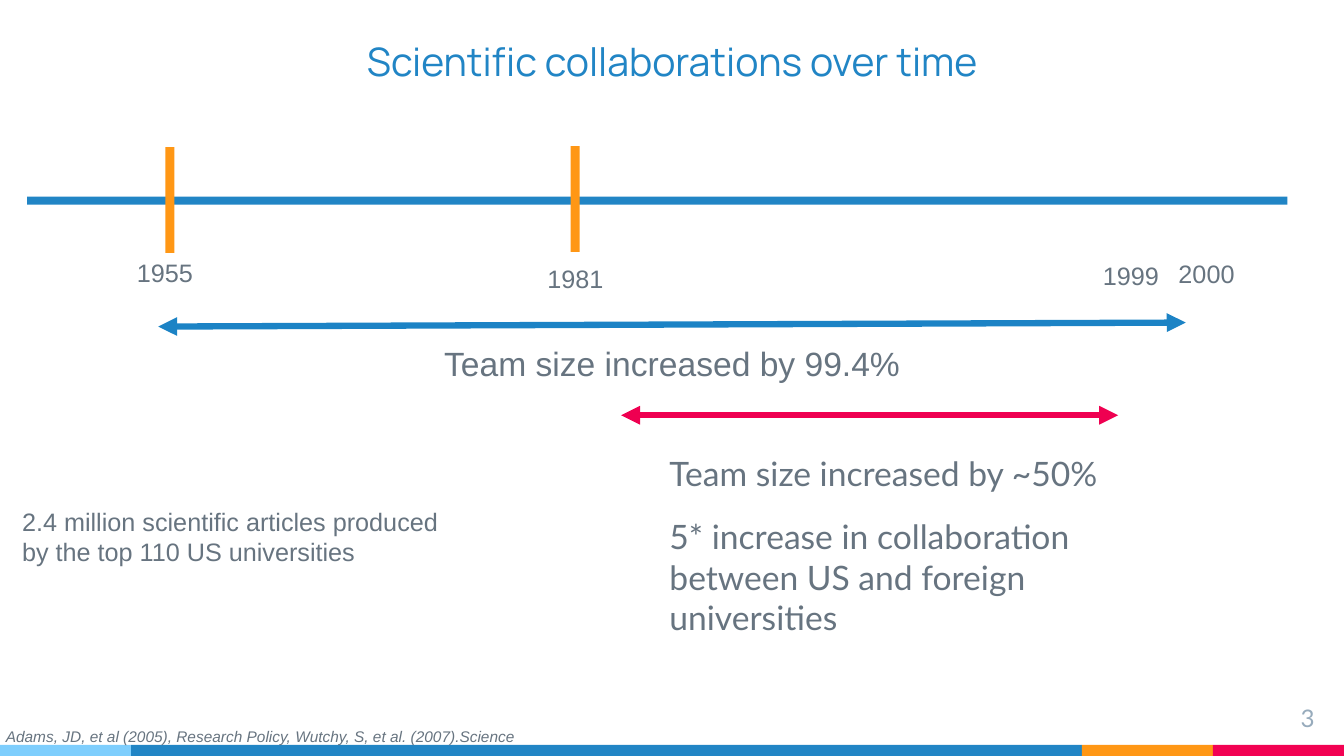
from dataclasses import dataclass

from lxml import etree
from pptx import Presentation
from pptx.dml.color import RGBColor
from pptx.enum.shapes import MSO_CONNECTOR, MSO_SHAPE
from pptx.enum.text import MSO_ANCHOR, PP_ALIGN
from pptx.oxml.ns import qn
from pptx.util import Inches, Pt

RECTANGLE = MSO_SHAPE.RECTANGLE
STRAIGHT = MSO_CONNECTOR.STRAIGHT
LEFT, CENTER, RIGHT = PP_ALIGN.LEFT, PP_ALIGN.CENTER, PP_ALIGN.RIGHT
TOP, BOTTOM = MSO_ANCHOR.TOP, MSO_ANCHOR.BOTTOM


@dataclass(frozen=True)
class Theme:
    blue: str = "2185C5"
    sky: str = "7ECEFD"
    orange: str = "FF9715"
    red: str = "F20253"
    arrow_blue: str = "1C83C5"
    arrow_red: str = "EF0051"
    gray: str = "677480"
    pale: str = "97ABBC"
    title_font: str = "Manrope"
    note_font: str = "Lato"
    body_font: str = "Arial"
    title_size: float = 28
    finding_size: float = 24
    body_size: float = 18
    number_size: float = 17.3
    source_size: float = 11
    arrow_width: float = 4.5


THEME = Theme()


def add_bar(page, left, top, width, height, color):
    bar = page.shapes.add_shape(
        RECTANGLE, Inches(left), Inches(top), Inches(width), Inches(height))
    bar.shadow.inherit = False
    bar.fill.solid()
    bar.fill.fore_color.rgb = RGBColor.from_string(color)
    bar.line.fill.background()


def add_text(page, text, left, top, width, height, size, font=THEME.body_font,
             color=THEME.gray, align=LEFT, anchor=TOP, insets=(0.1, 0.05),
             wrap=True, italic=False):
    box = page.shapes.add_textbox(
        Inches(left), Inches(top), Inches(width), Inches(height))
    frame = box.text_frame
    frame.word_wrap = wrap
    frame.vertical_anchor = anchor
    frame.margin_left = frame.margin_right = Inches(insets[0])
    frame.margin_top = frame.margin_bottom = Inches(insets[1])
    frame.text = text
    para = frame.paragraphs[0]
    para.alignment = align
    for span in para.runs:
        span.font.name = font
        span.font.size = Pt(size)
        span.font.italic = italic
        span.font.color.rgb = RGBColor.from_string(color)


def add_span_arrow(page, start, end, color):
    arrow = page.shapes.add_connector(
        STRAIGHT, *(Inches(value) for value in start + end))
    arrow.line.color.rgb = RGBColor.from_string(color)
    arrow.line.width = Pt(THEME.arrow_width)
    outline = arrow.line._get_or_add_ln()
    for tag in ("a:headEnd", "a:tailEnd"):
        etree.SubElement(outline, qn(tag), type="triangle")
    etree.SubElement(arrow._element.spPr, qn("a:effectLst"))


def add_footer_strip(page):
    left = 0
    for width, color in ((1.3, THEME.sky), (9.43, THEME.blue),
                         (1.3, THEME.orange), (1.3, THEME.red)):
        add_bar(page, left, 7.39, width, 0.11, color)
        left += width


def add_timeline(page):
    add_bar(page, 0.27, 1.95, 12.5, 0.08, THEME.blue)
    for left, top in ((1.64, 1.46), (5.66, 1.45)):
        add_bar(page, left, top, 0.09, 1.05, THEME.orange)
    for year, left, top in (("1955", 1.26, 2.5), ("1981", 5.33, 2.56),
                            ("1999", 10.84, 2.53), ("2000", 11.59, 2.51)):
        add_text(page, year, left, top, 0.76, 0.4, THEME.body_size, wrap=False)


def add_findings(page):
    add_span_arrow(page, (1.57, 3.24), (11.76, 3.2), THEME.arrow_blue)
    add_text(page, "Team size increased by 99.4%", 2.44, 3.35, 8.45, 0.5,
             THEME.finding_size, align=CENTER)
    add_span_arrow(page, (6.16, 4.12), (11.09, 4.12), THEME.arrow_red)
    for text, top, width in (
            ("Team size increased by ~50%", 4.36, 4.75),
            ("5* increase in collaboration between US and foreign universities",
             4.99, 5.09)):
        add_text(page, text, 6.51, top, width, 0.71, THEME.finding_size,
                 THEME.note_font, insets=(0.13, 0.13))


def main():
    deck = Presentation()
    deck.slide_width, deck.slide_height = Inches(13.33), Inches(7.5)
    page = deck.slides.add_slide(deck.slide_layouts[6])
    add_footer_strip(page)
    add_text(page, "3", 12.37, 6.85, 0.8, 0.46, THEME.number_size,
             THEME.note_font, THEME.pale, RIGHT, insets=(0.13, 0.13))
    add_text(page, "Scientific collaborations over time", 2.11, 0, 9.11, 0.94,
             THEME.title_size, THEME.title_font, THEME.blue, CENTER, BOTTOM,
             insets=(0.1, 0.1))
    add_text(page, "2.4 million scientific articles produced by the top 110 US "
             "universities", 0.12, 4.97, 4.39, 0.71, THEME.body_size)
    add_timeline(page)
    add_findings(page)
    add_text(page, "Adams, JD, et al (2005), Research Policy, Wutchy, S, et al. "
             "(2007).Science", -0.04, 7.16, 5.37, 0.29, THEME.source_size,
             italic=True)
    deck.save("out.pptx")


if __name__ == "__main__":
    main()
